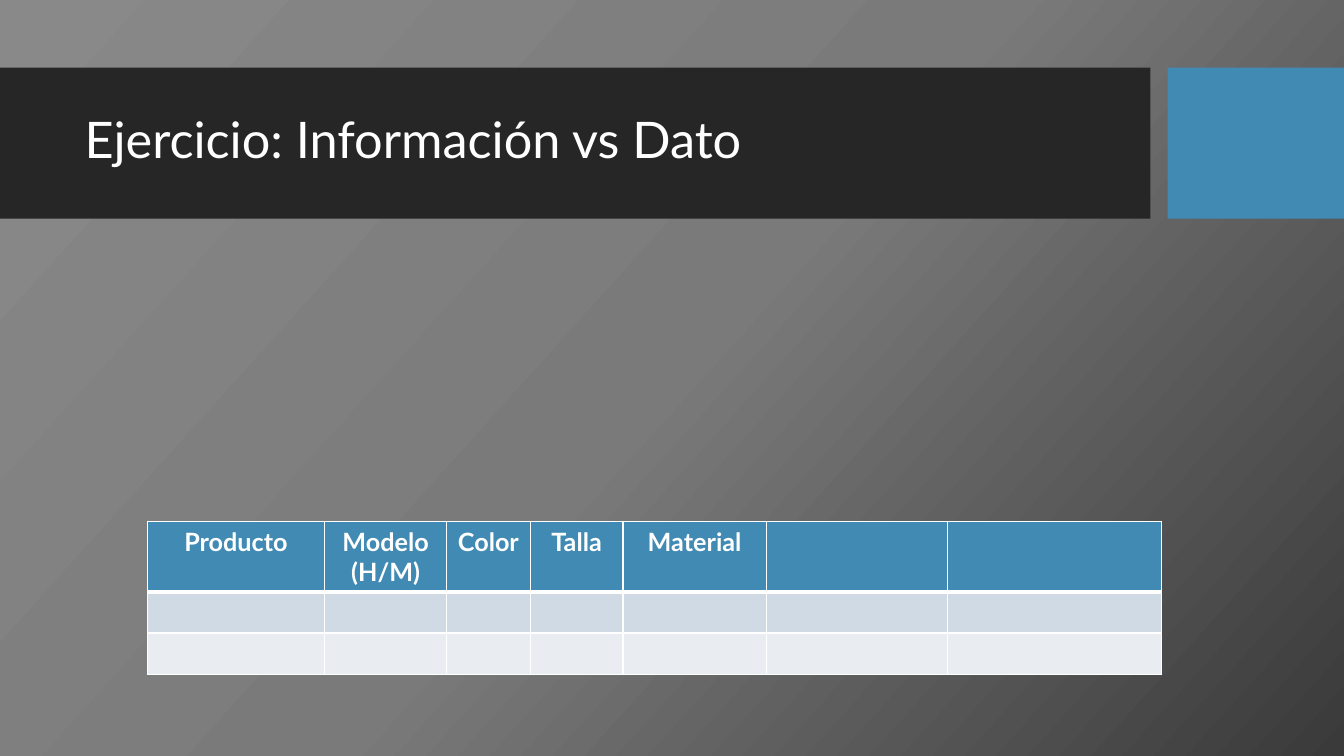
from copy import deepcopy
from dataclasses import dataclass

from lxml.etree import SubElement
from pptx import Presentation
from pptx.dml.color import RGBColor
from pptx.enum.shapes import MSO_SHAPE
from pptx.enum.text import MSO_ANCHOR, PP_ALIGN
from pptx.oxml.ns import qn
from pptx.util import Inches, Pt


@dataclass(frozen=True)
class Theme:
    font: str = "Lato"
    white: str = "FFFFFF"
    dark: str = "262626"
    blue: str = "418AB3"
    bands: tuple = ("CFDAE5", "E9EDF2")
    back: tuple = ("898989", "7A7A7A", "3A3A3A")
    angle: int = 42
    title: int = 36
    body: int = 18
    thin: int = 1
    thick: int = 3


THEME = Theme()


def apply(target, values):
    for name, value in values.items():
        setattr(target, name, value)


def style(part, size, bold=False):
    apply(part.font, {"name": THEME.font, "size": Pt(size), "bold": bold})
    part.font.color.rgb = RGBColor.from_string(THEME.white)


def paint(item, color):
    item.fill.solid()
    item.fill.fore_color.rgb = RGBColor.from_string(color)


def backdrop(slide):
    fill = slide.background.fill
    fill.gradient()
    fill.gradient_angle = 360 - THEME.angle
    stops = slide.element.find(".//" + qn("a:gsLst"))
    stops.insert(1, deepcopy(stops[0]))
    for stop, color, place in zip(fill.gradient_stops, THEME.back, (0, 0.5, 1)):
        stop.color.rgb = RGBColor.from_string(color)
        stop.position = place


def block(slide, left, top, width, height, color):
    shape = slide.shapes.add_shape(
        MSO_SHAPE.RECTANGLE, *map(Inches, (left, top, width, height)))
    shape.shadow.inherit = False
    shape.line.fill.background()
    paint(shape, color)


def header(slide, left, top, width, height, text):
    tail, gap = 1.75, 0.17
    block(slide, left, top, width - tail - gap, height, THEME.dark)
    block(slide, left + width - tail, top, tail, height, THEME.blue)
    box = slide.shapes.add_textbox(
        *map(Inches, (left + 0.74, top + 0.15, 10.51, 1.18)))
    apply(box.text_frame, {"word_wrap": True, "vertical_anchor": MSO_ANCHOR.MIDDLE})
    line = box.text_frame.paragraphs[0]
    line.line_spacing = 0.9
    run = line.add_run()
    run.text = text
    style(run, THEME.title)


def border(cell, sides):
    props = cell._tc.get_or_add_tcPr()
    for index, (side, width) in enumerate(sides.items()):
        line = SubElement(props, qn("a:" + side), w=str(Pt(width)))
        fill = SubElement(line, qn("a:solidFill"))
        SubElement(fill, qn("a:srgbClr"), val=THEME.white)
        props.insert(index, line)


def grid(slide, left, top, labels, widths, heights):
    frame = slide.shapes.add_table(
        len(heights), len(widths),
        *map(Inches, (left, top, sum(widths), sum(heights))))
    table = frame.table
    for column, width in zip(table.columns, widths):
        column.width = Inches(width)
    fills = (THEME.blue, *THEME.bands)
    for index, (row, height) in enumerate(zip(table.rows, heights)):
        row.height = Inches(height)
        sides = {"lnL": THEME.thin, "lnR": THEME.thin,
                 "lnT": THEME.thick if index == 1 else THEME.thin,
                 "lnB": THEME.thick if index == 0 else THEME.thin}
        for cell in row.cells:
            paint(cell, fills[index])
            border(cell, sides)
            style(cell.text_frame.paragraphs[0], THEME.body)
    for cell, label in zip(table.rows[0].cells, labels):
        line = cell.text_frame.paragraphs[0]
        line.alignment = PP_ALIGN.CENTER
        run = line.add_run()
        run.text = label
        style(run, THEME.body, True)


def main():
    deck = Presentation()
    apply(deck, {"slide_width": Inches(13.33), "slide_height": Inches(7.5)})
    slide = deck.slides.add_slide(deck.slide_layouts[6])
    backdrop(slide)
    header(slide, 0, 0.67, 13.33, 1.5, "Ejercicio: Información vs Dato")
    grid(slide, 1.46, 5.17,
         ("Producto", "Modelo (H/M)", "Color", "Talla", "Material"),
         (1.76, 1.21, 0.83, 0.92, 1.42, 1.8, 2.12),
         (0.69, 0.41, 0.41))
    deck.save("out.pptx")


if __name__ == "__main__":
    main()
